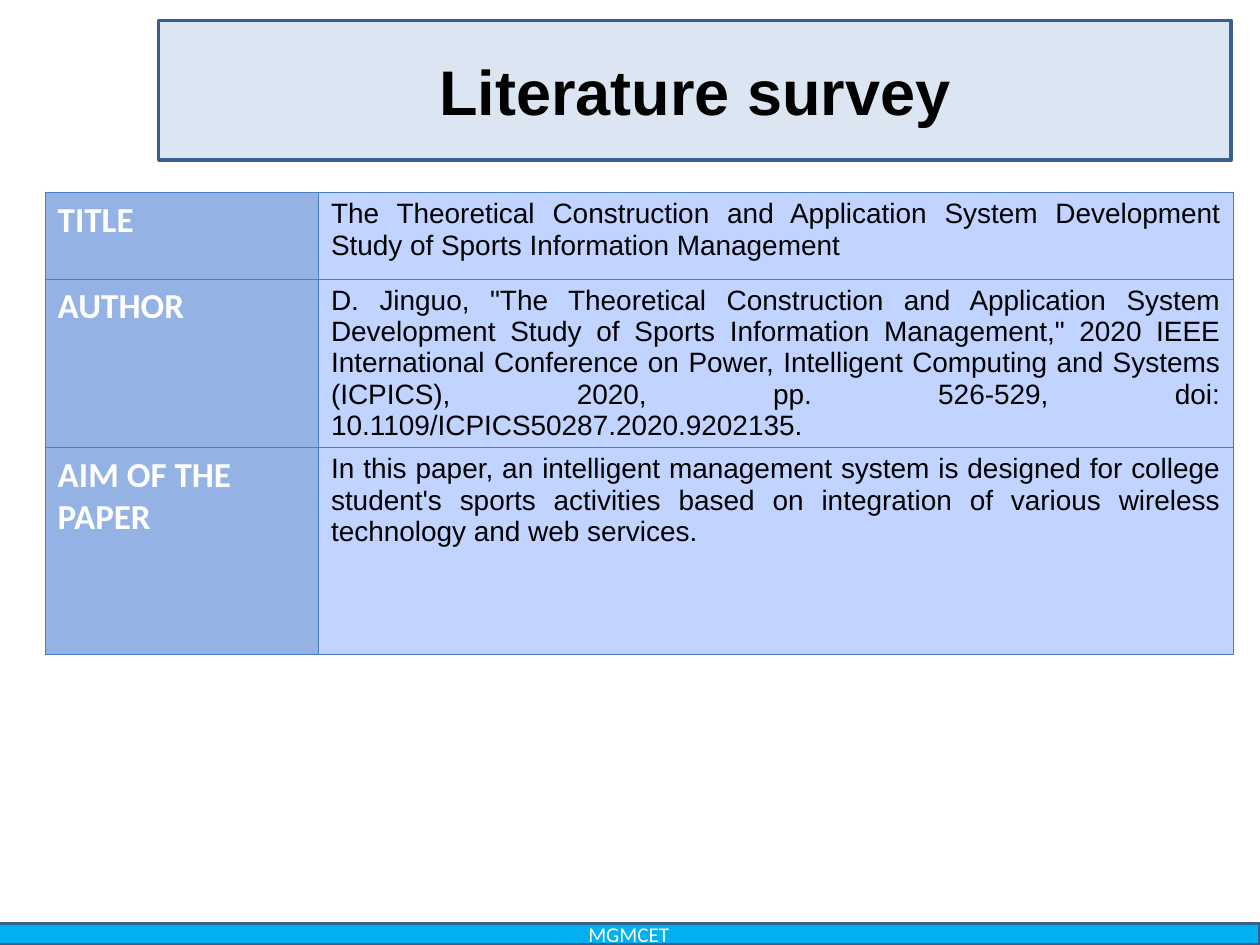
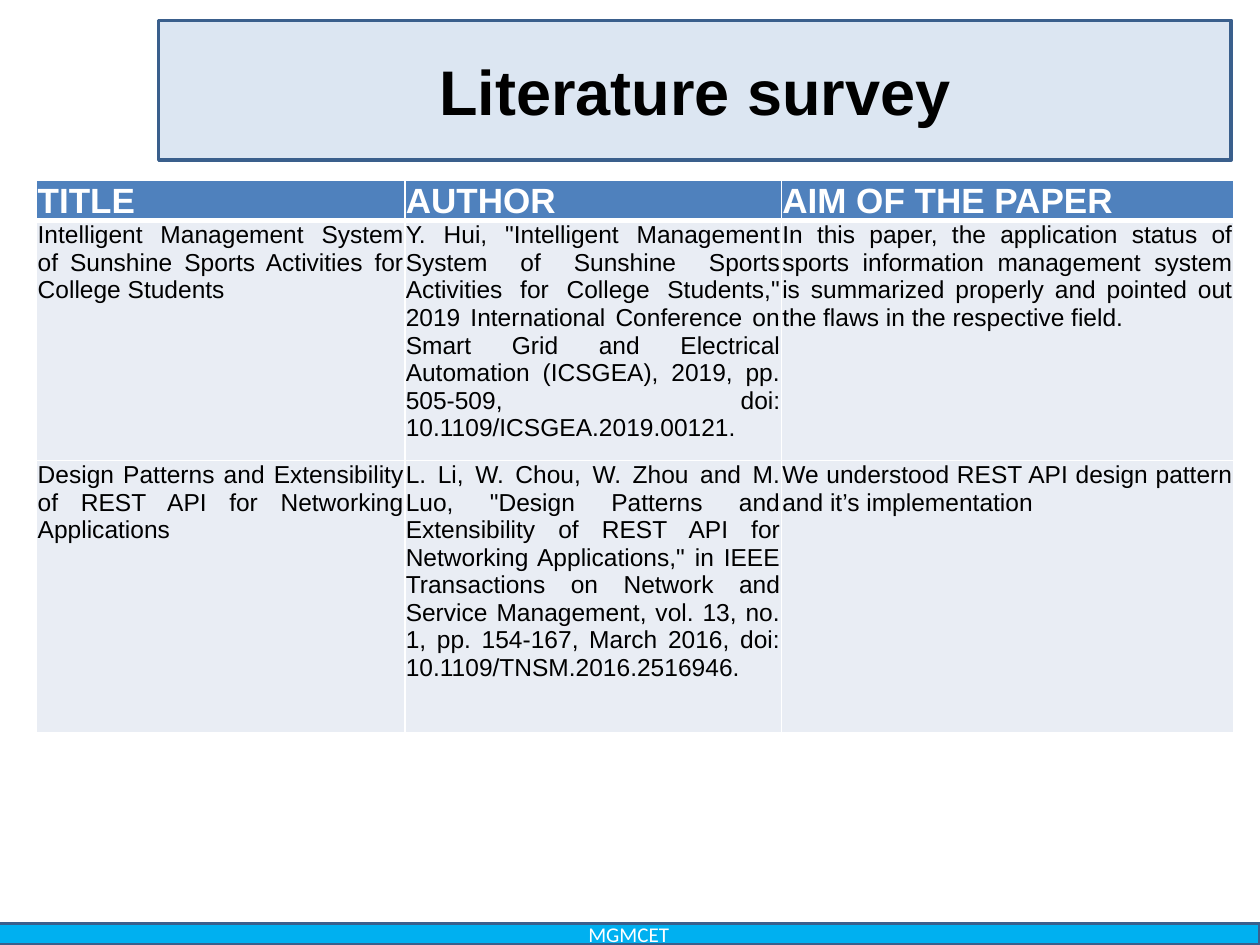
from lxml.etree import SubElement
from pptx import Presentation
from pptx.dml.color import RGBColor
from pptx.enum.shapes import MSO_SHAPE
from pptx.enum.text import MSO_ANCHOR, PP_ALIGN
from pptx.oxml.ns import qn
from pptx.util import Cm, Pt

WHITE, BLACK = "FFFFFF", "000000"
BANNER_FILL, FOOTER_FILL, FRAME_LINE = "DCE6F2", "00B0F0", "3A5F8C"
HEADER_FILL, BODY_FILL = "4F81BD", "E9EDF4"
LABEL_FILL, DETAIL_FILL, GRID_LINE = "94B2E4", "C0D4FF", "4B7EBC"

BANNER_BOX = (3.2, 0.41, 21.62, 2.82)
FOOTER_BOX = (-0.05, 18.62, 25.45, 0.43)
TITLE_ONLY = 5

LABEL_STYLE = ("Calibri", 20, WHITE, True)
DETAIL_STYLE = ("Arial", 16, BLACK, False)
HEADER_STYLE = ("Arial", 20, WHITE, True)
BODY_STYLE = ("Arial", 14, BLACK, False)

HEADINGS = ("TITLE", "AUTHOR", "AIM OF THE PAPER")
SPORTS_PAPER = (
    "The Theoretical Construction and Application System Development Study of "
    "Sports Information Management",
    'D. Jinguo, "The Theoretical Construction and Application System Development '
    'Study of Sports Information Management," 2020 IEEE International Conference on '
    "Power, Intelligent Computing and Systems (ICPICS), 2020, pp. 526-529, doi: "
    "10.1109/ICPICS50287.2020.9202135.",
    "In this paper, an intelligent management system is designed for college "
    "student's sports activities based on integration of various wireless "
    "technology and web services.",
)
OTHER_PAPERS = (
    (
        "Intelligent Management System of Sunshine Sports Activities for College Students",
        'Y. Hui, "Intelligent Management System of Sunshine Sports Activities for '
        'College Students," 2019 International Conference on Smart Grid and Electrical '
        "Automation (ICSGEA), 2019, pp. 505-509, doi: 10.1109/ICSGEA.2019.00121.",
        "In this paper, the application status of sports information management system "
        "is summarized properly and pointed out the flaws in the respective field.",
    ),
    (
        "Design Patterns and Extensibility of REST API for Networking Applications",
        'L. Li, W. Chou, W. Zhou and M. Luo, "Design Patterns and Extensibility of '
        'REST API for Networking Applications," in IEEE Transactions on Network and '
        "Service Management, vol. 13, no. 1, pp. 154-167, March 2016, doi: "
        "10.1109/TNSM.2016.2516946.",
        "We understood REST API design pattern and it’s implementation",
    ),
)


def colour(value):
    """Turn a hex string into a colour."""
    return RGBColor.from_string(value)


def write(frame, text, style, align):
    """Write one styled run into the first paragraph of a text frame."""
    font, size, ink, bold = style
    para = frame.paragraphs[0]
    para.alignment = align
    span = para.add_run()
    span.text = text
    span.font.name, span.font.size, span.font.bold = font, Pt(size), bold
    span.font.color.rgb = colour(ink)


def add_panel(page, box, fill):
    """Add a filled rectangle with the shared frame line."""
    panel = page.shapes.add_shape(MSO_SHAPE.RECTANGLE, *map(Cm, box))
    panel.shadow.inherit = False
    panel.fill.solid()
    panel.fill.fore_color.rgb = colour(fill)
    panel.line.color.rgb = colour(FRAME_LINE)
    panel.line.width = Pt(2)
    return panel


def add_banner(page, box, text):
    """Place the title over its framed banner."""
    title = page.shapes.title
    title.left, title.top, title.width, title.height = map(Cm, box)
    title.text_frame.vertical_anchor = MSO_ANCHOR.MIDDLE
    write(title.text_frame, text, ("Arial", 36, BLACK, True), PP_ALIGN.CENTER)
    title.element.addprevious(add_panel(page, box, BANNER_FILL).element)


def add_footer(page, box, text):
    """Place the footer band with its centred text."""
    frame = add_panel(page, box, FOOTER_FILL).text_frame
    frame.margin_top = frame.margin_bottom = 0
    frame.vertical_anchor = MSO_ANCHOR.MIDDLE
    write(frame, text, ("Calibri", 12, WHITE, False), PP_ALIGN.CENTER)


def add_page(deck):
    """Add a slide with the shared banner and footer."""
    page = deck.slides.add_slide(deck.slide_layouts[TITLE_ONLY])
    add_banner(page, BANNER_BOX, "Literature survey")
    add_footer(page, FOOTER_BOX, "MGMCET")
    return page


def add_grid(page, corner, widths, heights):
    """Add an unbanded table with the given column widths and row heights."""
    box = (*corner, sum(widths), sum(heights))
    table = page.shapes.add_table(len(heights), len(widths), *map(Cm, box)).table
    table.first_row = table.horz_banding = False
    for column, width in zip(table.columns, widths):
        column.width = Cm(width)
    for row, height in zip(table.rows, heights):
        row.height = Cm(height)
    return table


def format_cell(cell, fill, line, widths):
    """Set a cell's fill and its left, right, top and bottom borders."""
    properties = cell._tc.get_or_add_tcPr()
    for side, width in zip("LRTB", widths):
        border = SubElement(properties, qn(f"a:ln{side}"), w=str(Pt(width)))
        ink = SubElement(border, qn("a:solidFill"))
        SubElement(ink, qn("a:srgbClr"), val=line)
    cell.fill.solid()
    cell.fill.fore_color.rgb = colour(fill)


def add_paper_table(page, corner, paper):
    """Describe one paper with a label column and a detail column."""
    table = add_grid(page, corner, (5.51, 18.44), (1.75, 2.95, 4.17))
    columns = (
        (HEADINGS, LABEL_STYLE, LABEL_FILL, PP_ALIGN.LEFT),
        (paper, DETAIL_STYLE, DETAIL_FILL, PP_ALIGN.JUSTIFY),
    )
    for column, (texts, style, fill, align) in enumerate(columns):
        for row, text in enumerate(texts):
            cell = table.cell(row, column)
            format_cell(cell, fill, GRID_LINE, (0.75,) * 4)
            write(cell.text_frame, text, style, align)


def add_comparison_table(page, corner, papers):
    """List papers one a row under a header row."""
    table = add_grid(page, corner, (7.42, 7.59, 9.12), (0.79, 4.83, 5.49))
    for row, texts in enumerate((HEADINGS, *papers)):
        style, fill = (BODY_STYLE, BODY_FILL) if row else (HEADER_STYLE, HEADER_FILL)
        top, bottom = {0: (1, 3), 1: (3, 1)}.get(row, (1, 1))
        for column, text in enumerate(texts):
            cell = table.cell(row, column)
            cell.margin_left = cell.margin_right = cell.margin_top = Cm(0.02)
            cell.margin_bottom = 0
            format_cell(cell, fill, WHITE, (1, 1, top, bottom))
            write(cell.text_frame, text, style, PP_ALIGN.JUSTIFY)


def main():
    """Build both survey slides and save the deck."""
    deck = Presentation()
    deck.slide_width, deck.slide_height = Cm(25.4), Cm(19.05)
    add_paper_table(add_page(deck), (0.91, 3.88), SPORTS_PAPER)
    add_comparison_table(add_page(deck), (0.74, 3.64), OTHER_PAPERS)
    deck.save("out.pptx")


if __name__ == "__main__":
    main()
